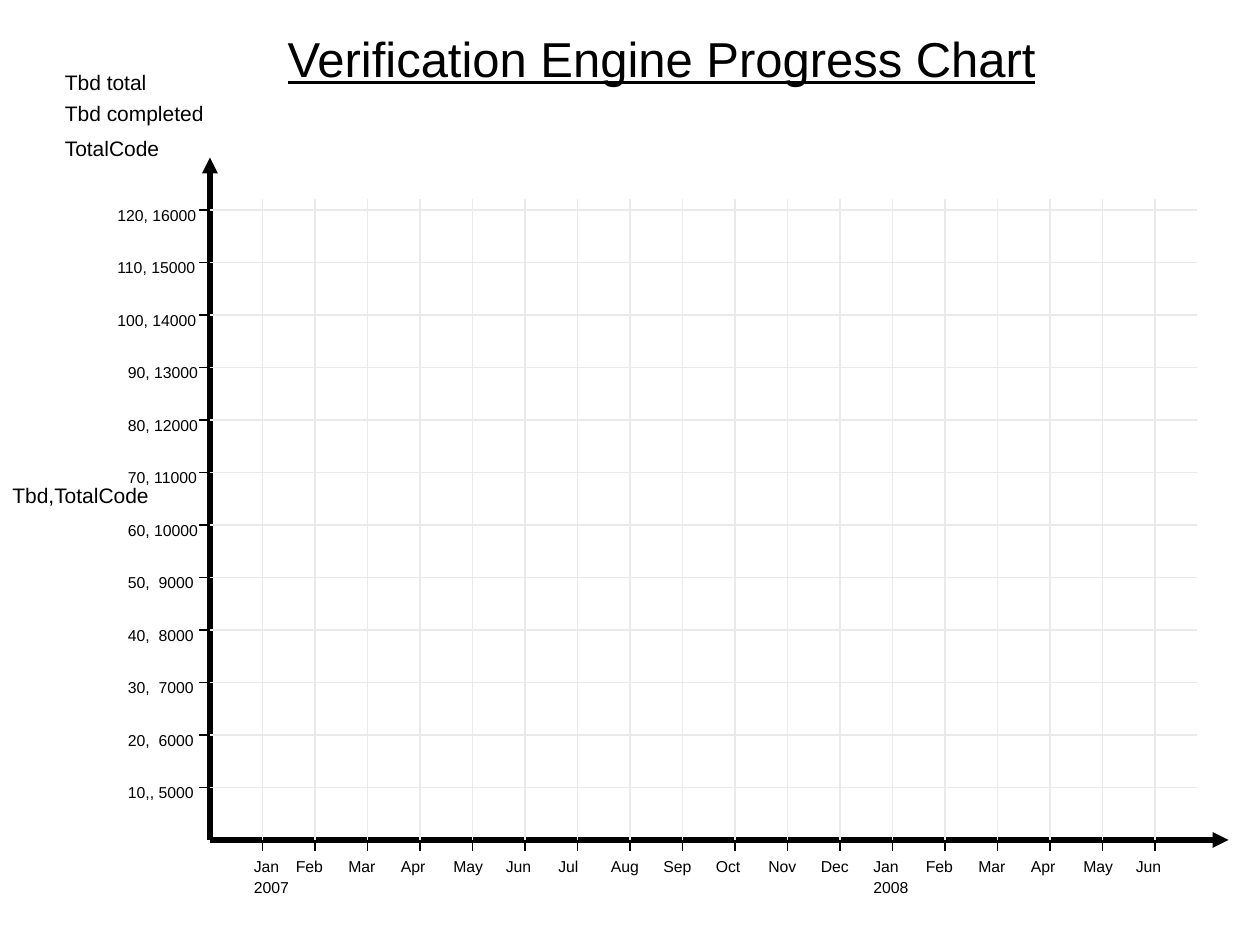
from lxml import etree
from pptx import Presentation
from pptx.dml.color import RGBColor
from pptx.enum.shapes import MSO_CONNECTOR
from pptx.enum.text import MSO_ANCHOR, MSO_AUTO_SIZE, PP_ALIGN
from pptx.oxml.ns import qn
from pptx.util import Pt

STRAIGHT = MSO_CONNECTOR.STRAIGHT
MIDDLE = MSO_ANCHOR.MIDDLE
CENTER = PP_ALIGN.CENTER
FIT_SHAPE = MSO_AUTO_SIZE.SHAPE_TO_FIT_TEXT
NO_FIT = MSO_AUTO_SIZE.NONE
FONT = "Arial"
BLACK = "000000"
GRID_GRAY = "EAEAEA"
TITLE_ONLY = 5
ORIGIN_X, ORIGIN_Y = 120, 480
STEP = 30
TICK = 6
GRID_TOP, GRID_RIGHT = 114, 684
MONTHS = ("Jan Feb Mar Apr May Jun Jul Aug Sep Oct Nov Dec "
          "Jan Feb Mar Apr May Jun").split()
WIDE_MONTHS = {"May", "Aug", "Sep", "Nov", "Dec"}
LEVELS = range(1, 13)
HEADINGS = [("Tbd total", 30, 36, 72), ("Tbd completed", 30, 54, 102),
            ("TotalCode", 30, 74, 102), ("Tbd,TotalCode", 0, 272, 102)]


def set_color(color_format, value):
    """Apply a hex colour to a colour format."""
    color_format.rgb = RGBColor.from_string(value)


def format_text(paragraph, size):
    """Set font, size and colour on every run of a paragraph."""
    for span in paragraph.runs:
        span.font.name = FONT
        span.font.size = Pt(size)
        set_color(span.font.color, BLACK)


def add_title(page, text):
    """Place and format the underlined page title."""
    title = page.shapes.title
    title.left, title.top, title.width, title.height = Pt(72), Pt(12), Pt(612), Pt(42)
    frame = title.text_frame
    frame.text = text
    frame.auto_size = NO_FIT
    frame.vertical_anchor = MIDDLE
    para = frame.paragraphs[0]
    para.alignment = CENTER
    format_text(para, 28)
    para.runs[0].font.underline = True


def add_label(page, text, left, top, width, size=9):
    """Add a one-line text label."""
    box = page.shapes.add_textbox(Pt(left), Pt(top), Pt(width), Pt(size * 1.2 + 7.2))
    frame = box.text_frame
    frame.word_wrap = True
    frame.auto_size = FIT_SHAPE
    frame.text = text
    para = frame.paragraphs[0]
    para.space_before = Pt(size * 0.625)
    format_text(para, size)


def add_line(page, start, end, color=BLACK, weight=0.74, arrow=False):
    """Add a straight line, with an optional arrowhead at its end."""
    line = page.shapes.add_connector(STRAIGHT, *map(Pt, start + end))
    set_color(line.line.color, color)
    line.line.width = Pt(weight)
    if arrow:
        outline = line.line._get_or_add_ln()
        etree.SubElement(outline, qn("a:tailEnd"), type="triangle")
    etree.SubElement(line._element.spPr, qn("a:effectLst"))


def add_axes(page):
    """Draw both axes with their tick marks."""
    origin = (ORIGIN_X, ORIGIN_Y)
    for tip in [(ORIGIN_X, 90), (702, ORIGIN_Y)]:
        add_line(page, origin, tip, weight=3, arrow=True)
    for column in range(1, len(MONTHS) + 1):
        x = ORIGIN_X + column * STEP
        add_line(page, (x, ORIGIN_Y - TICK), (x, ORIGIN_Y + TICK))
    for level in LEVELS:
        y = ORIGIN_Y - level * STEP
        add_line(page, (ORIGIN_X + TICK, y), (ORIGIN_X - TICK, y))


def add_axis_labels(page):
    """Write the months, years and value pairs along the axes."""
    for index, month in enumerate(MONTHS):
        left = 132 + index * STEP if index else 138
        add_label(page, month, left, 486, 36 if month in WIDE_MONTHS else 30)
    for year, left in [("2007", 138), ("2008", 492)]:
        add_label(page, year, left, 498, 36)
    for level in LEVELS:
        text = "10,, 5000" if level == 1 else f"{level * 10},{4000 + level * 1000:>6}"
        left = 66 if level < 10 else 60
        add_label(page, text, left, ORIGIN_Y - level * STEP - 6, 60)


def add_grid(page):
    """Draw the light grid lines."""
    for column in range(1, len(MONTHS) + 1):
        x = ORIGIN_X + column * STEP
        add_line(page, (x, ORIGIN_Y), (x, GRID_TOP), GRID_GRAY)
    for level in LEVELS:
        y = ORIGIN_Y - level * STEP
        add_line(page, (ORIGIN_X, y), (GRID_RIGHT, y), GRID_GRAY)


def main():
    """Build the progress chart page and save the deck."""
    deck = Presentation()
    deck.slide_width, deck.slide_height = Pt(720), Pt(540)
    page = deck.slides.add_slide(deck.slide_layouts[TITLE_ONLY])
    add_title(page, "Verification Engine Progress Chart")
    add_axes(page)
    add_axis_labels(page)
    add_grid(page)
    for text, left, top, width in HEADINGS:
        add_label(page, text, left, top, width, size=12)
    deck.save("out.pptx")


main()
